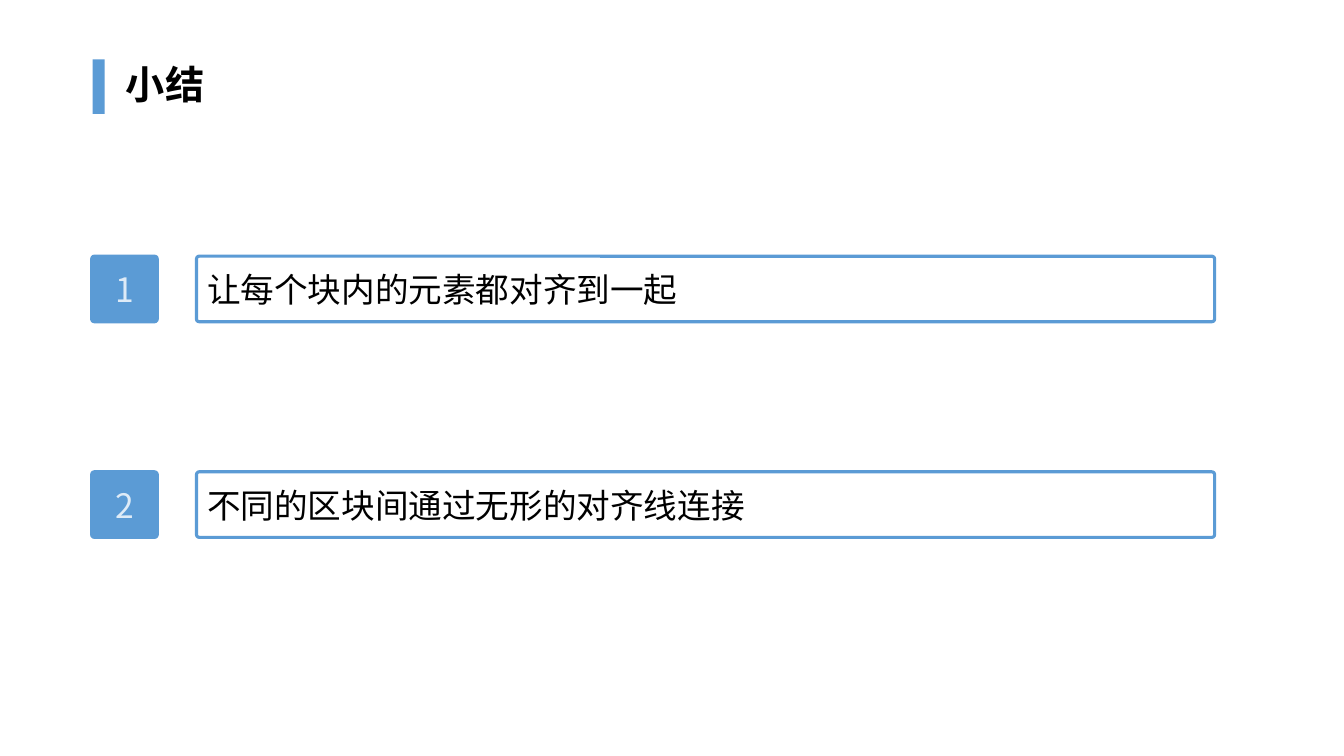
"""Build the summary slide with two numbered takeaways."""
from dataclasses import dataclass

from lxml.etree import SubElement
from pptx import Presentation
from pptx.dml.color import RGBColor as RGB
from pptx.enum.shapes import MSO_SHAPE as Shape
from pptx.enum.text import MSO_ANCHOR as Anchor, PP_ALIGN as Align
from pptx.oxml.ns import qn
from pptx.util import Pt


@dataclass(frozen=True)
class Theme:
    """Colours, font and type sizes of the slide."""
    accent: RGB = RGB(0x5B, 0x9B, 0xD5)
    pale: RGB = RGB(0xDE, 0xEB, 0xF7)
    ink: RGB = RGB(0, 0, 0)
    font: str = "Noto Sans CJK SC"
    title_size: int = 28
    body_size: int = 24
    border: float = 2.25
    corner: float = 0.041


class SummarySlide:
    """Draw the elements of one slide in one theme."""

    def __init__(self, deck, theme):
        """Add a title-only slide to the deck."""
        self.theme = theme
        self.slide = deck.slides.add_slide(deck.slide_layouts[5])

    def set_text(self, frame, wording, size, color, align=Align.LEFT, bold=False, spacing=1.0):
        """Put one formatted line into a text frame."""
        for name, value in {"word_wrap": True, "vertical_anchor": Anchor.MIDDLE}.items():
            setattr(frame, name, value)
        line = frame.paragraphs[0]
        for name, value in {"alignment": align, "line_spacing": spacing}.items():
            setattr(line, name, value)
        run = line.add_run()
        run.text = wording
        run.font.color.rgb = color
        for name, value in {"name": self.theme.font, "size": Pt(size), "bold": bold}.items():
            setattr(run.font, name, value)
        SubElement(run._r.get_or_add_rPr(), qn("a:ea"), typeface=self.theme.font)

    def title(self, wording, left, top, width, height):
        """Place and format the title placeholder."""
        heading = self.slide.shapes.title
        places = {"left": left, "top": top, "width": width, "height": height}
        for name, value in places.items():
            setattr(heading, name, Pt(value))
        self.set_text(heading.text_frame, wording, self.theme.title_size, self.theme.ink,
                      bold=True, spacing=0.9)

    def block(self, kind, left, top, width, height, filled=True):
        """Add a shape, either filled or left open."""
        block = self.slide.shapes.add_shape(kind, Pt(left), Pt(top), Pt(width), Pt(height))
        block.shadow.inherit = False
        if filled:
            block.fill.solid()
            block.fill.fore_color.rgb = self.theme.accent
        else:
            block.fill.background()
        return block

    def bar(self, left, top, width, height):
        """Add the accent bar beside the title."""
        self.block(Shape.RECTANGLE, left, top, width, height).line.fill.background()

    def card(self, wording, left, top, width, height, color, align=Align.LEFT, filled=False):
        """Add a bordered box with slightly rounded corners and one line of text."""
        card = self.block(Shape.ROUNDED_RECTANGLE, left, top, width, height, filled)
        card.adjustments[0] = self.theme.corner
        card.line.color.rgb = self.theme.accent
        card.line.width = Pt(self.theme.border)
        self.set_text(card.text_frame, wording, self.theme.body_size, color, align)

    def takeaway(self, number, wording, top):
        """Add a numbered tile and the statement beside it."""
        side = 46.8
        self.card(str(number), 65.5, top, side, side, self.theme.pale, Align.CENTER, True)
        self.card(wording, 140.4, top, 727.2, side, self.theme.ink)


def main():
    """Build and save the slide."""
    deck = Presentation()
    deck.slide_width, deck.slide_height = Pt(960), Pt(540)
    summary = SummarySlide(deck, Theme())
    summary.bar(66.2, 42.5, 8.6, 38.9)
    summary.title("小结", 82.8, 43.2, 811.4, 38.2)
    takeaways = ["让每个块内的元素都对齐到一起", "不同的区块间通过无形的对齐线连接"]
    first_top, pitch = 183, 154
    for index, wording in enumerate(takeaways):
        summary.takeaway(index + 1, wording, first_top + index * pitch)
    deck.save("out.pptx")


if __name__ == "__main__":
    main()
